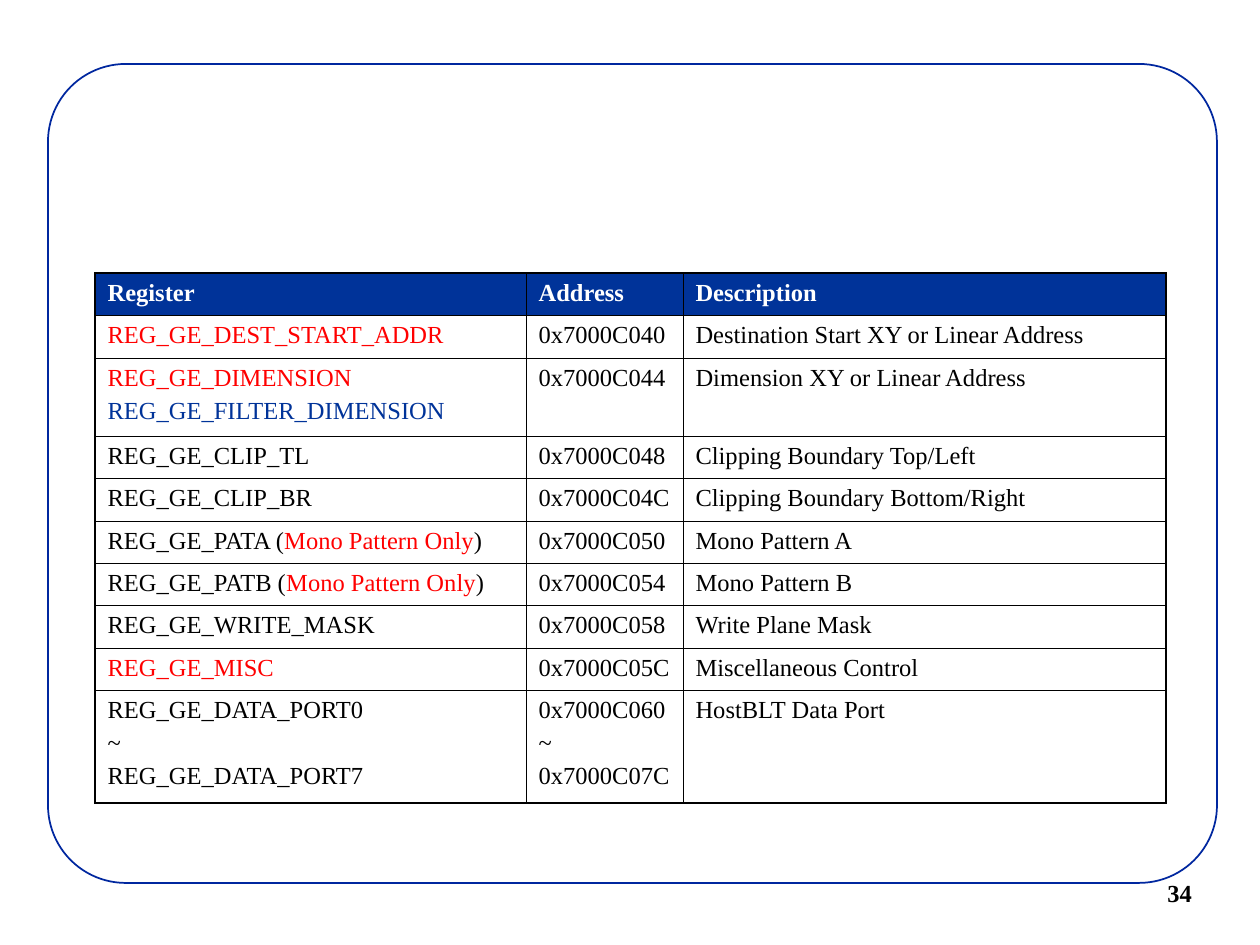
from lxml.etree import SubElement
from pptx import Presentation
from pptx.dml.color import RGBColor
from pptx.enum.shapes import MSO_SHAPE
from pptx.enum.text import MSO_AUTO_SIZE
from pptx.oxml.ns import qn
from pptx.util import Emu, Pt

COLORS = {
    "frame": "00279F",
    "header": "003399",
    "filter": "003399",
    "required": "FF0000",
    "text": "000000",
    "white": "FFFFFF",
}
FONT = "Times New Roman"
THIN, THICK = 0.45, 1.08
COLUMN_WIDTHS = [431, 157, 483]
ROW_HEIGHTS = [42, 43, 78, 42, 43, 42, 42, 43, 42, 113]
HEADINGS = ["Register", "Address", "Description"]
MONO_ONLY = ("Mono Pattern Only", "required")
REGISTERS = [
    ([[("REG_GE_DEST_START_ADDR", "required")]], ["0x7000C040"],
     "Destination Start XY or Linear Address"),
    ([[("REG_GE_DIMENSION", "required")], [("REG_GE_FILTER_DIMENSION", "filter")]],
     ["0x7000C044"], "Dimension XY or Linear Address"),
    (["REG_GE_CLIP_TL"], ["0x7000C048"], "Clipping Boundary Top/Left"),
    (["REG_GE_CLIP_BR"], ["0x7000C04C"], "Clipping Boundary Bottom/Right"),
    ([["REG_GE_PATA (", MONO_ONLY, ")"]], ["0x7000C050"], "Mono Pattern A"),
    ([["REG_GE_PATB (", MONO_ONLY, ")"]], ["0x7000C054"], "Mono Pattern B"),
    (["REG_GE_WRITE_MASK"], ["0x7000C058"], "Write Plane Mask"),
    ([[("REG_GE_MISC", "required")]], ["0x7000C05C"], "Miscellaneous Control"),
    (["REG_GE_DATA_PORT0", "~", "REG_GE_DATA_PORT7"],
     ["0x7000C060", "~", "0x7000C07C"], "HostBLT Data Port"),
]


def px(length):
    return Emu(round(length * 914400 / 126))


def rgb(name):
    return RGBColor.from_string(COLORS[name])


def write_text(frame, lines, color="text", bold=False, size=14, gap=3.5):
    for index, line in enumerate(lines):
        paragraph = frame.paragraphs[0] if index == 0 else frame.add_paragraph()
        if index:
            paragraph.space_before = Pt(gap)
        for part in [line] if isinstance(line, str) else line:
            words, part_color = (part, color) if isinstance(part, str) else part
            run = paragraph.add_run()
            run.text = words
            run.font.name = FONT
            run.font.size = Pt(size)
            run.font.bold = bold
            run.font.color.rgb = rgb(part_color)


def set_borders(cell, widths):
    properties = cell._tc.get_or_add_tcPr()
    for position, (side, width) in enumerate(widths.items()):
        border = SubElement(properties, qn(f"a:ln{side}"), w=str(Pt(width)))
        fill = SubElement(border, qn("a:solidFill"))
        SubElement(fill, qn("a:srgbClr"), val=COLORS["text"])
        properties.insert(position, border)


def add_frame(slide, left, top, width, height):
    frame = slide.shapes.add_shape(
        MSO_SHAPE.ROUNDED_RECTANGLE, px(left), px(top), px(width), px(height))
    frame.adjustments[0] = 0.095
    frame.shadow.inherit = False
    frame.fill.solid()
    frame.fill.fore_color.rgb = rgb("white")
    frame.line.color.rgb = rgb("frame")
    frame.line.width = Pt(1)


def add_page_number(slide, left, top, width, height):
    page_number = slide.shapes.add_textbox(px(left), px(top), px(width), px(height))
    page_number.text_frame.word_wrap = True
    page_number.text_frame.auto_size = MSO_AUTO_SIZE.SHAPE_TO_FIT_TEXT
    write_text(page_number.text_frame, ["34"], bold=True)


def add_register_table(slide, left, top):
    rows = [[[heading] for heading in HEADINGS]]
    rows += [[names, addresses, [description]]
             for names, addresses, description in REGISTERS]
    table = slide.shapes.add_table(
        len(rows), len(HEADINGS), px(left), px(top),
        px(sum(COLUMN_WIDTHS)), px(sum(ROW_HEIGHTS))).table
    table.horz_banding = False
    for column, width in zip(table.columns, COLUMN_WIDTHS):
        column.width = px(width)
    last_row, last_column = len(rows) - 1, len(HEADINGS) - 1
    for r, row in enumerate(rows):
        table.rows[r].height = px(ROW_HEIGHTS[r])
        is_header = r == 0
        for c, lines in enumerate(row):
            cell = table.cell(r, c)
            if is_header:
                cell.fill.solid()
                cell.fill.fore_color.rgb = rgb("header")
            else:
                cell.fill.background()
            write_text(cell.text_frame, lines, bold=is_header,
                       color="white" if is_header else "text")
            outer = {"L": c == 0, "R": c == last_column,
                     "T": is_header, "B": r == last_row}
            set_borders(cell, {side: THICK if edge else THIN
                               for side, edge in outer.items()})


def main():
    presentation = Presentation()
    presentation.slide_width = px(1260)
    presentation.slide_height = px(945)
    slide = presentation.slides.add_slide(presentation.slide_layouts[6])
    add_frame(slide, 48, 64, 1169, 819)
    add_page_number(slide, 1155, 872, 136, 42)
    add_register_table(slide, 95, 273)
    presentation.save("out.pptx")


if __name__ == "__main__":
    main()
